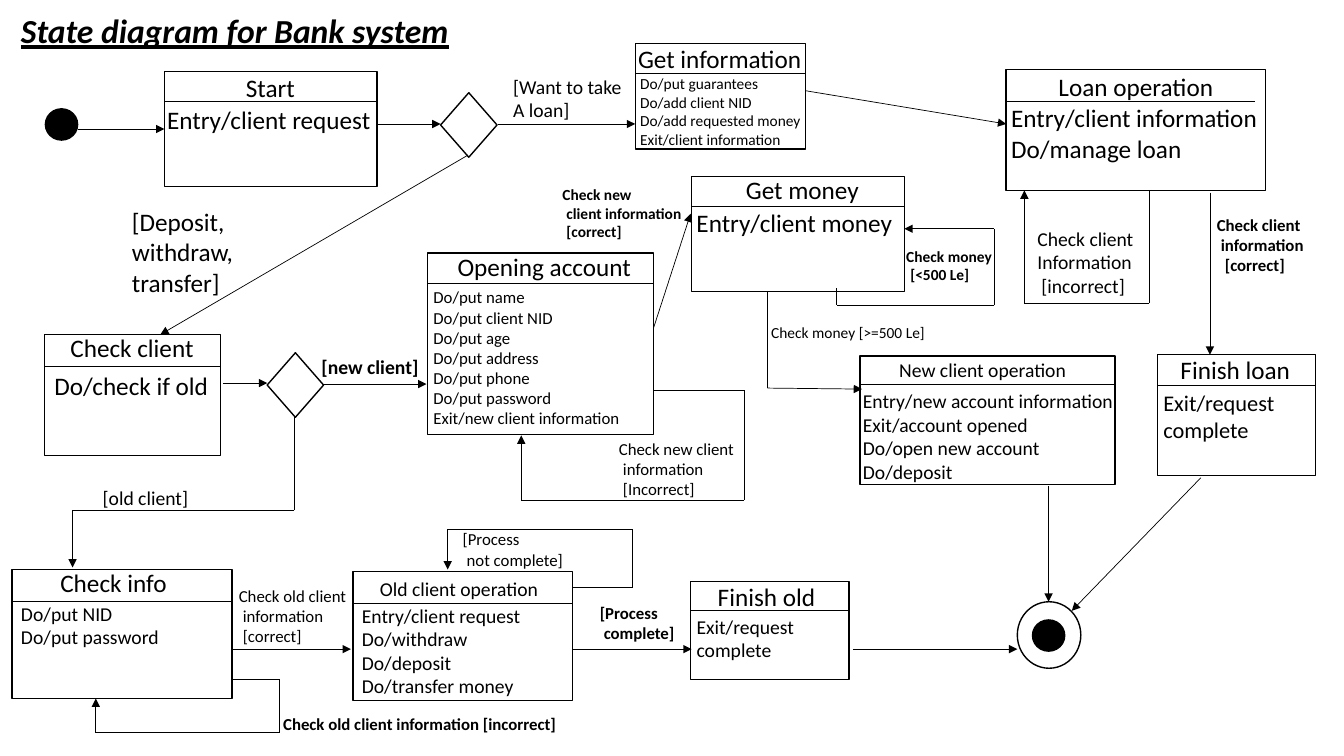
from dataclasses import dataclass
from itertools import pairwise

from pptx import Presentation
from pptx.dml.color import RGBColor
from pptx.enum.shapes import MSO_CONNECTOR, MSO_SHAPE
from pptx.enum.text import MSO_AUTO_SIZE
from pptx.oxml.ns import qn
from pptx.slide import Slide
from pptx.util import Emu, Pt
from lxml.etree import SubElement

EMU_PER_PX = 9144
COLORS = {"ink": "000000", "paper": "FFFFFF"}
FONT = "Calibri"
LINE_SPACING = 1.22
INSET = 5


@dataclass(frozen=True)
class Text:
    left: int
    top: int
    width: int
    size: int
    lines: tuple[str, ...]
    bold: bool = False
    heading: bool = False
    wraps: bool = False
    indents: tuple[int, ...] = ()


@dataclass(frozen=True)
class State:
    left: int
    top: int
    width: int
    height: int
    divider: int
    title: Text
    actions: Text
    divider_width: int = 0


@dataclass(frozen=True)
class Node:
    kind: MSO_SHAPE
    left: int
    top: int
    width: int
    height: int
    fill: str = "paper"


@dataclass(frozen=True)
class Transition:
    points: tuple[tuple[int, int], ...]


STATES = (
    State(163, 71, 211, 114, 30, Text(234, 67, 69, 18, ("Start",)),
          Text(156, 99, 224, 18, ("Entry/client request",))),
    State(630, 43, 169, 105, 30, Text(623, 38, 184, 18, ("Get information",)),
          Text(625, 69, 181, 11, ("Do/put guarantees", "Do/add client NID",
                                  "Do/add requested money", "Exit/client information"))),
    State(998, 69, 257, 120, 32, Text(1040, 66, 176, 18, ("Loan operation",)),
          Text(993, 97, 267, 18, ("Entry/client information", "Do/manage loan")),
          divider_width=247),
    State(1148, 352, 157, 120, 30, Text(1161, 347, 130, 18, ("Finish loan",)),
          Text(1144, 381, 165, 16, ("Exit/request complete",), wraps=True)),
    State(44, 332, 175, 120, 31, Text(60, 325, 144, 18, ("Check client",)),
          Text(44, 362, 175, 18, ("Do/check if old",))),
    State(12, 565, 218, 128, 32, Text(50, 558, 142, 18, ("Check info",), wraps=True),
          Text(11, 592, 158, 14, ("Do/put NID", "Do/put password"))),
    State(853, 353, 253, 128, 28,
          Text(882, 350, 203, 14, ("New client operation",), wraps=True),
          Text(846, 381, 271, 14, ("Entry/new account information", "Exit/account opened",
                                   "Do/open new account", "Do/deposit"))),
    State(350, 567, 218, 128, 32, Text(367, 567, 183, 14, ("Old client operation",)),
          Text(349, 594, 179, 14, ("Entry/client request", "Do/withdraw",
                                   "Do/deposit", "Do/transfer money"))),
    State(685, 577, 157, 97, 29, Text(702, 572, 118, 18, ("Finish old",)),
          Text(681, 605, 165, 14, ("Exit/request complete",), wraps=True)),
    State(424, 251, 224, 180, 30,
          Text(444, 244, 220, 18, ("Opening account",), wraps=True),
          Text(420, 280, 261, 12, ("Do/put name", "Do/put client NID", "Do/put age",
                                   "Do/put address", "Do/put phone", "Do/put password",
                                   "Exit/new client information"), wraps=True)),
    State(686, 175, 211, 114, 30, Text(730, 168, 133, 18, ("Get money",)),
          Text(681, 201, 216, 18, ("Entry/client money",))),
)

NODES = (
    Node(MSO_SHAPE.OVAL, 45, 108, 32, 31, "ink"),
    Node(MSO_SHAPE.DIAMOND, 437, 92, 56, 64),
    Node(MSO_SHAPE.DIAMOND, 265, 350, 56, 64),
    Node(MSO_SHAPE.OVAL, 1009, 597, 63, 66),
    Node(MSO_SHAPE.OVAL, 1024, 615, 32, 31, "ink"),
)

TRANSITIONS = (
    Transition(((77, 128), (163, 128))),
    Transition(((374, 123), (437, 123))),
    Transition(((494, 123), (630, 123))),
    Transition(((799, 90), (998, 123))),
    Transition(((1200, 191), (1200, 352))),
    Transition(((1140, 189), (1140, 301), (1016, 301), (1016, 189))),
    Transition(((464, 154), (159, 332))),
    Transition(((221, 380), (265, 380))),
    Transition(((320, 381), (423, 381))),
    Transition(((292, 414), (292, 506), (72, 506), (72, 563))),
    Transition(((1040, 482), (1040, 597))),
    Transition(((230, 644), (348, 644))),
    Transition(((230, 674), (277, 674), (277, 727), (95, 727), (95, 693))),
    Transition(((568, 644), (686, 644))),
    Transition(((846, 644), (1009, 644))),
    Transition(((1191, 474), (1063, 606))),
    Transition(((648, 387), (738, 387), (738, 496), (517, 496), (517, 432))),
    Transition(((648, 326), (685, 212))),
    Transition(((761, 289), (761, 385), (855, 386))),
    Transition(((830, 286), (830, 303), (986, 303), (986, 227), (897, 227))),
    Transition(((568, 583), (627, 583), (627, 525), (444, 525), (444, 565))),
)

LABELS = (
    Text(11, 5, 448, 24, ("State diagram for Bank system",), bold=True, heading=True),
    Text(499, 69, 129, 14, ("[Want to take", "A loan]")),
    Text(1197, 208, 107, 12, ("Check client", "information", "[correct]"),
         bold=True, indents=(0, 4, 8)),
    Text(1019, 220, 135, 14, ("Check client", "Information", "[incorrect]"),
         wraps=True, indents=(0, 0, 4)),
    Text(121, 200, 123, 18, ("[Deposit,", "withdraw,", "transfer]")),
    Text(92, 477, 106, 14, ("[old client]",)),
    Text(309, 347, 117, 14, ("[new client]",), bold=True),
    Text(227, 576, 187, 12, ("Check old client", "information", "[correct]"),
         wraps=True, indents=(0, 4, 4)),
    Text(271, 703, 295, 12, ("Check old client information [incorrect]",), bold=True),
    Text(604, 430, 270, 12, ("Check new client", "information", "[Incorrect]"),
         wraps=True, indents=(0, 4, 4)),
    Text(548, 179, 139, 11, ("Check new", "client information", "[correct]"),
         bold=True, indents=(0, 4, 4)),
    Text(755, 316, 174, 11, ("Check money [>=500 Le]",)),
    Text(889, 240, 106, 11, ("Check money", "[<500 Le]"), bold=True, indents=(0, 4)),
    Text(585, 593, 95, 12, ("[Process", "complete]"), bold=True, indents=(0, 4)),
    Text(449, 520, 162, 12, ("[Process", "not complete]"), wraps=True, indents=(0, 4)),
)


def px(length: float) -> Emu:
    return Emu(round(length * EMU_PER_PX))


def color(name: str) -> RGBColor:
    return RGBColor.from_string(COLORS[name])


def draw_node(slide: Slide, node: Node) -> None:
    shape = slide.shapes.add_shape(
        node.kind, px(node.left), px(node.top), px(node.width), px(node.height))
    shape.shadow.inherit = False
    shape.fill.solid()
    shape.fill.fore_color.rgb = color(node.fill)
    shape.line.color.rgb = color("ink")
    shape.line.width = Pt(1)


def draw_line(slide: Slide, start: tuple[int, int], end: tuple[int, int],
              arrow: bool = False) -> None:
    connector = slide.shapes.add_connector(
        MSO_CONNECTOR.STRAIGHT, *map(px, start), *map(px, end))
    connector.line.color.rgb = color("ink")
    connector.line.width = Pt(0.5)
    if arrow:
        SubElement(connector.line._get_or_add_ln(), qn("a:tailEnd"), type="triangle")
    SubElement(connector._element.spPr, qn("a:effectLst"))


def draw_transition(slide: Slide, transition: Transition) -> None:
    for start, end in pairwise(transition.points):
        draw_line(slide, start, end, arrow=end == transition.points[-1])


def draw_text(slide: Slide, text: Text) -> None:
    height = len(text.lines) * text.size * LINE_SPACING * 100 / 72 + 2 * INSET
    box = slide.shapes.add_textbox(px(text.left), px(text.top), px(text.width), px(height))
    text_frame = box.text_frame
    text_frame.word_wrap = text.wraps
    text_frame.auto_size = MSO_AUTO_SIZE.SHAPE_TO_FIT_TEXT
    text_frame.text = "\n".join(text.lines)
    for paragraph in text_frame.paragraphs:
        font = paragraph.runs[0].font
        font.name, font.size = FONT, Pt(text.size)
        font.color.rgb = color("ink")
        font.bold = text.bold
        font.italic = font.underline = text.heading
    for paragraph, indent in zip(text_frame.paragraphs, text.indents):
        paragraph._p.get_or_add_pPr().set("marL", str(px(indent)))


def draw_state(slide: Slide, state: State) -> None:
    draw_node(slide, Node(MSO_SHAPE.RECTANGLE, state.left, state.top, state.width, state.height))
    divider_top = state.top + state.divider
    divider_right = state.left + (state.divider_width or state.width)
    draw_line(slide, (state.left, divider_top), (divider_right, divider_top))
    draw_text(slide, state.title)
    draw_text(slide, state.actions)


def main() -> None:
    presentation = Presentation()
    presentation.slide_width, presentation.slide_height = px(1333), px(750)
    slide = presentation.slides.add_slide(presentation.slide_layouts[6])
    for draw, items in ((draw_state, STATES), (draw_node, NODES),
                        (draw_transition, TRANSITIONS), (draw_text, LABELS)):
        for item in items:
            draw(slide, item)
    presentation.save("out.pptx")


if __name__ == "__main__":
    main()
